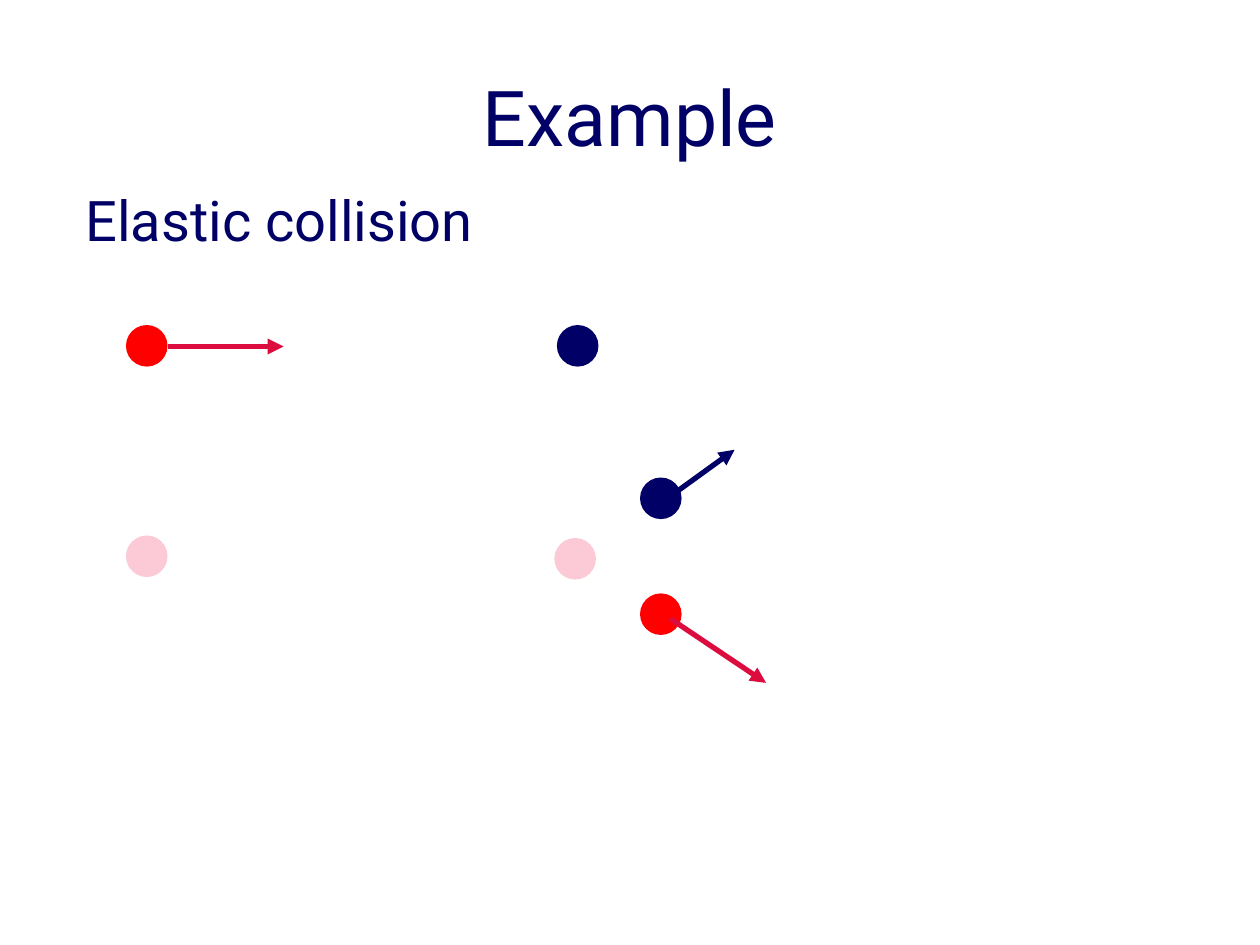
"""Build a slide showing an elastic collision of two balls."""
from dataclasses import dataclass

from lxml import etree
from pptx import Presentation
from pptx.dml.color import RGBColor
from pptx.enum import shapes, text
from pptx.oxml import ns
from pptx.slide import Slide
from pptx.util import Inches, Pt


@dataclass(frozen=True)
class Theme:
    navy: str = "000066"
    red: str = "FF0000"
    crimson: str = "DC0C3E"
    pink: str = "FCCAD6"
    font: str = "Roboto"
    title_size: int = 44
    body_size: int = 32
    arrow_width: int = 3
    ball_size: float = 0.33


@dataclass(frozen=True)
class Label:
    wording: str
    top: float
    left: float
    height: float
    size: int
    align: text.PP_ALIGN
    anchor: text.MSO_ANCHOR


@dataclass(frozen=True)
class Ball:
    left: float
    top: float
    color: str


@dataclass(frozen=True)
class Velocity:
    start: tuple[float, float]
    end: tuple[float, float]
    color: str


THEME = Theme()

LABELS = [
    Label("Example", 0.42, 0.5, 1, THEME.title_size,
          text.PP_ALIGN.CENTER, text.MSO_ANCHOR.MIDDLE),
    Label("Elastic collision", 1.42, 0.58, 5.08, THEME.body_size,
          text.PP_ALIGN.LEFT, text.MSO_ANCHOR.TOP),
]

BALLS = [
    Ball(1, 2.58, THEME.red),
    Ball(4.42, 2.58, THEME.navy),
    Ball(5.08, 4.71, THEME.red),
    Ball(5.08, 3.79, THEME.navy),
    Ball(1, 4.25, THEME.pink),
    Ball(4.4, 4.27, THEME.pink),
]

VELOCITIES = [
    Velocity((1.33, 2.75), (2.25, 2.75), THEME.crimson),
    Velocity((5.36, 3.91), (5.83, 3.57), THEME.navy),
    Velocity((5.32, 4.91), (6.08, 5.42), THEME.crimson),
]


def draw_label(slide: Slide, label: Label) -> None:
    box = slide.shapes.add_textbox(
        Inches(label.left), Inches(label.top), Inches(9), Inches(label.height))
    frame = box.text_frame
    frame.word_wrap = True
    frame.vertical_anchor = label.anchor
    frame.text = label.wording
    paragraph = frame.paragraphs[0]
    paragraph.alignment = label.align
    font = paragraph.runs[0].font
    font.name = THEME.font
    font.size = Pt(label.size)
    font.color.rgb = RGBColor.from_string(THEME.navy)


def draw_ball(slide: Slide, ball: Ball) -> None:
    diameter = Inches(THEME.ball_size)
    disc = slide.shapes.add_shape(
        shapes.MSO_SHAPE.OVAL, Inches(ball.left), Inches(ball.top), diameter, diameter)
    disc.shadow.inherit = False
    disc.fill.solid()
    disc.fill.fore_color.rgb = RGBColor.from_string(ball.color)
    disc.line.fill.background()


def draw_velocity(slide: Slide, velocity: Velocity) -> None:
    arrow = slide.shapes.add_connector(
        shapes.MSO_CONNECTOR.STRAIGHT,
        *map(Inches, velocity.start), *map(Inches, velocity.end))
    arrow.line.color.rgb = RGBColor.from_string(velocity.color)
    arrow.line.width = Pt(THEME.arrow_width)
    etree.SubElement(arrow.line._get_or_add_ln(), ns.qn("a:tailEnd"), type="triangle")
    etree.SubElement(arrow._element.spPr, ns.qn("a:effectLst"))


def main() -> None:
    deck = Presentation()
    deck.slide_width, deck.slide_height = Inches(10), Inches(7.5)
    slide = deck.slides.add_slide(deck.slide_layouts[6])
    for label in LABELS:
        draw_label(slide, label)
    for ball in BALLS:
        draw_ball(slide, ball)
    for velocity in VELOCITIES:
        draw_velocity(slide, velocity)
    deck.save("out.pptx")


if __name__ == "__main__":
    main()
